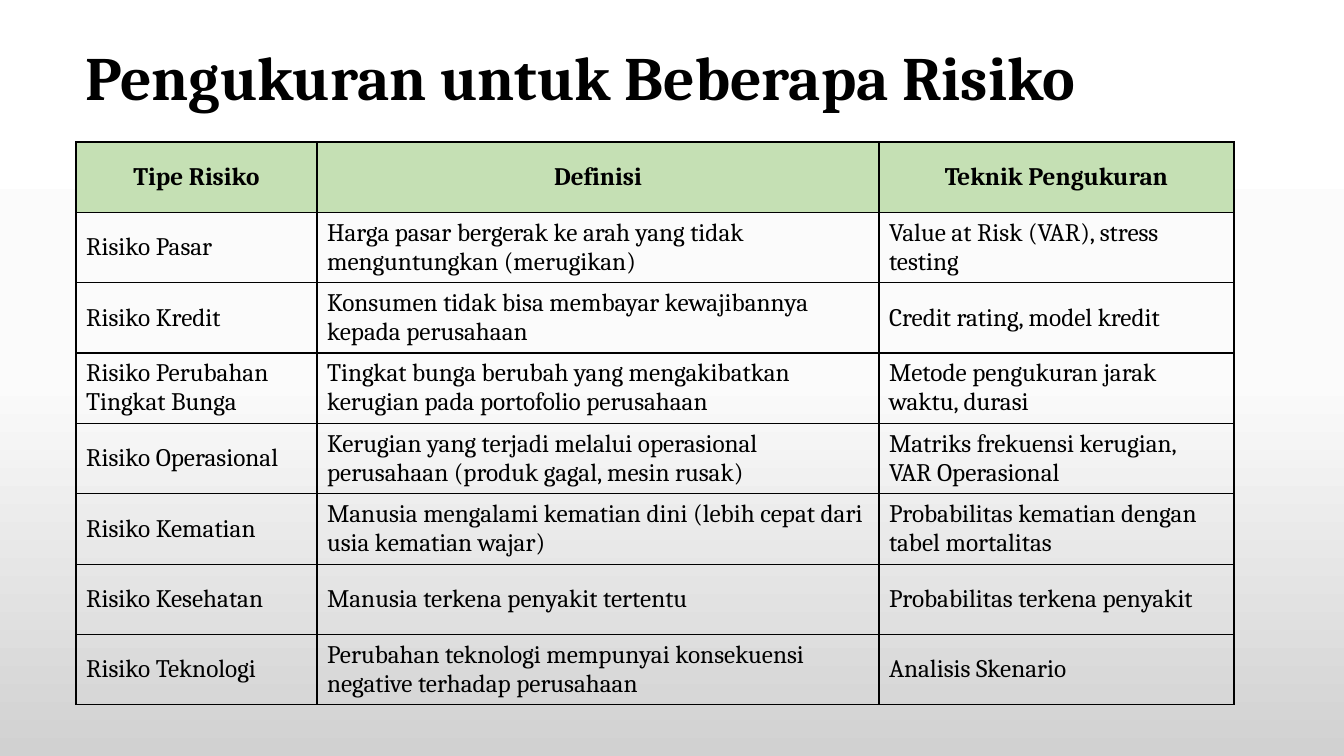
import copy

import pptx
import pptx.dml.color
import pptx.enum.text
import pptx.oxml
import pptx.oxml.ns
import pptx.util

THEME = {
    "font": "Cambria",
    "text": "000000",
    "header": "C5E0B4",
    "border": "000000",
    "background": [(0, "FFFFFF"), (0.5, "FBFBFB"), (1, "D1D1D1")],
    "title_size": 44,
    "table_size": 18,
    "border_width": 1,
}
PX = 914400 / 100.8
ALIGN = pptx.enum.text.PP_ALIGN
COLUMNS = [241, 562, 355]
RISKS = [
    ("Tipe Risiko", "Definisi", "Teknik Pengukuran"),
    ("Risiko Pasar",
     "Harga pasar bergerak ke arah yang tidak menguntungkan (merugikan)",
     "Value at Risk (VAR), stress testing"),
    ("Risiko Kredit",
     "Konsumen tidak bisa membayar kewajibannya kepada perusahaan",
     "Credit rating, model kredit"),
    ("Risiko Perubahan Tingkat Bunga",
     "Tingkat bunga berubah yang mengakibatkan kerugian pada portofolio perusahaan",
     "Metode pengukuran jarak waktu, durasi"),
    ("Risiko Operasional",
     "Kerugian yang terjadi melalui operasional perusahaan (produk gagal, mesin rusak)",
     "Matriks frekuensi kerugian, VAR Operasional"),
    ("Risiko Kematian",
     "Manusia mengalami kematian dini (lebih cepat dari usia kematian wajar)",
     "Probabilitas kematian dengan tabel mortalitas"),
    ("Risiko Kesehatan",
     "Manusia terkena penyakit tertentu",
     "Probabilitas terkena penyakit"),
    ("Risiko Teknologi",
     "Perubahan teknologi mempunyai konsekuensi negative terhadap perusahaan",
     "Analisis Skenario"),
]


def px(*lengths):
    """Turn pixel lengths into a list of EMU values."""
    return [round(length * PX) for length in lengths]


def write(holder, text, size, bold=False, align=ALIGN.LEFT, spacing=None):
    """Fill a shape or a cell with one formatted, vertically centred paragraph."""
    holder.vertical_anchor = pptx.enum.text.MSO_ANCHOR.MIDDLE
    p = holder.text_frame.paragraphs[0]
    p.alignment = align
    p.line_spacing = spacing
    r = p.add_run()
    r.text = text
    r.font.name = THEME["font"]
    r.font.size = pptx.util.Pt(size)
    r.font.bold = bold
    r.font.color.rgb = pptx.dml.color.RGBColor.from_string(THEME["text"])


prs = pptx.Presentation()
prs.slide_width, prs.slide_height = px(1344, 756)
s = prs.slides.add_slide(prs.slide_layouts[5])

# Background: three stops from top to bottom
fill = s.background.fill
fill.gradient()
fill.gradient_angle = 270
first_stop = next(s._element.iter(pptx.oxml.ns.qn("a:gs")))
first_stop.addnext(copy.deepcopy(first_stop))
for stop, (position, color) in zip(fill.gradient_stops, THEME["background"]):
    stop.position = position
    stop.color.rgb = pptx.dml.color.RGBColor.from_string(color)

# Title
title = s.shapes.title
title.left, title.top, title.width, title.height = px(75, 40, 1161, 82)
title.text_frame.word_wrap = True
title.text_frame.vertical_anchor = pptx.enum.text.MSO_ANCHOR.MIDDLE
write(title, "Pengukuran untuk Beberapa Risiko", THEME["title_size"],
      bold=True, spacing=0.9)

# Risk table: equal rows
frame = s.shapes.add_table(len(RISKS), len(COLUMNS),
                           *px(76, 142, sum(COLUMNS), 563))
table = frame.table
table.first_row = table.horz_banding = False
for column, width in zip(table.columns, px(*COLUMNS)):
    column.width = width

border_width = pptx.util.Pt(THEME["border_width"])
for row, texts in enumerate(RISKS):
    header = row == 0
    for col, text in enumerate(texts):
        cell = table.cell(row, col)
        write(cell, text, THEME["table_size"], bold=header,
              align=ALIGN.CENTER if header else ALIGN.LEFT)
        tc_pr = cell._tc.get_or_add_tcPr()
        for side in ("lnL", "lnR", "lnT", "lnB"):
            tc_pr.append(pptx.oxml.parse_xml(
                f'<a:{side} {pptx.oxml.ns.nsdecls("a")} w="{border_width}">'
                f'<a:solidFill><a:srgbClr val="{THEME["border"]}"/></a:solidFill>'
                f'</a:{side}>'))
        if header:
            cell.fill.solid()
            cell.fill.fore_color.rgb = pptx.dml.color.RGBColor.from_string(THEME["header"])
        else:
            cell.fill.background()

prs.save("out.pptx")
